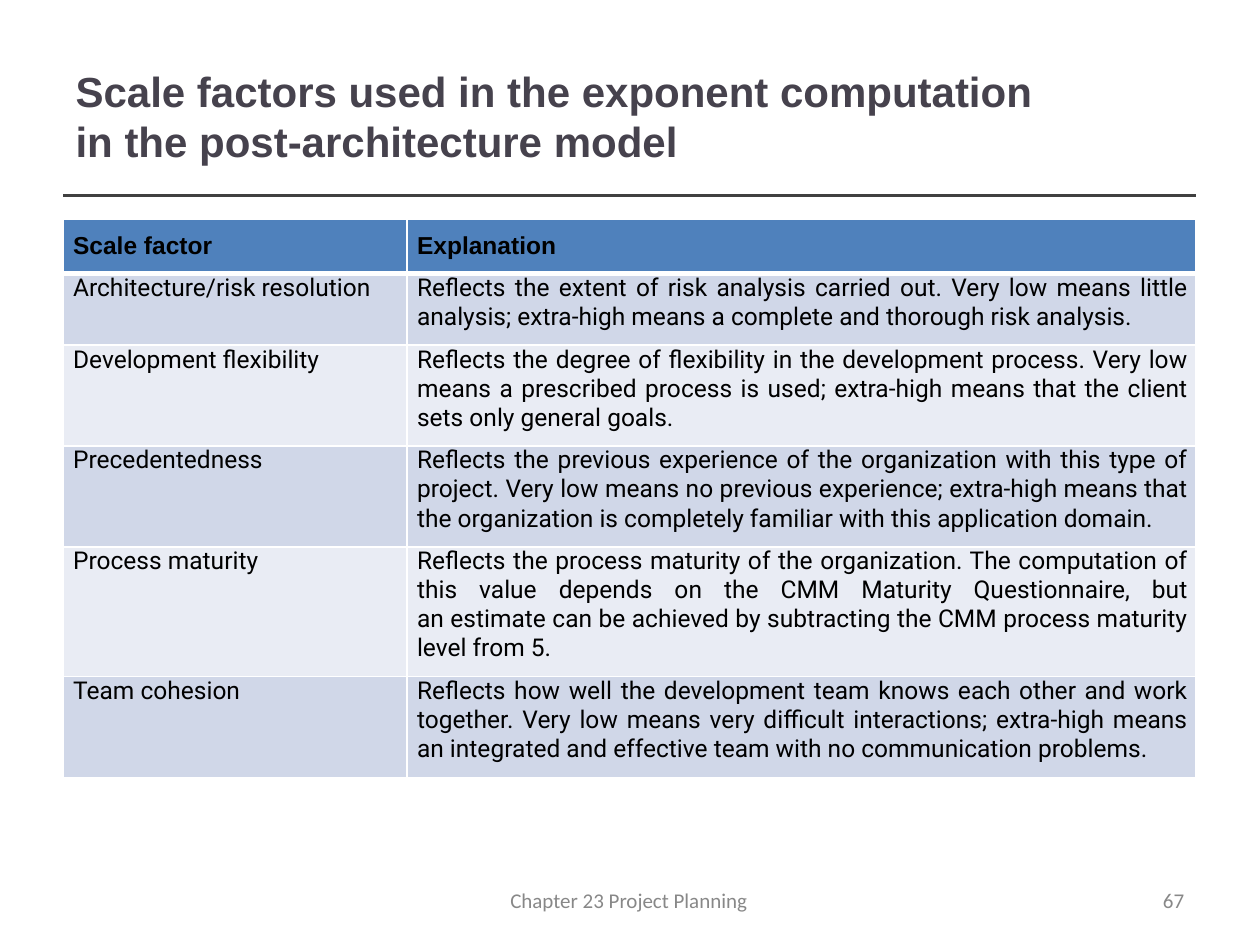
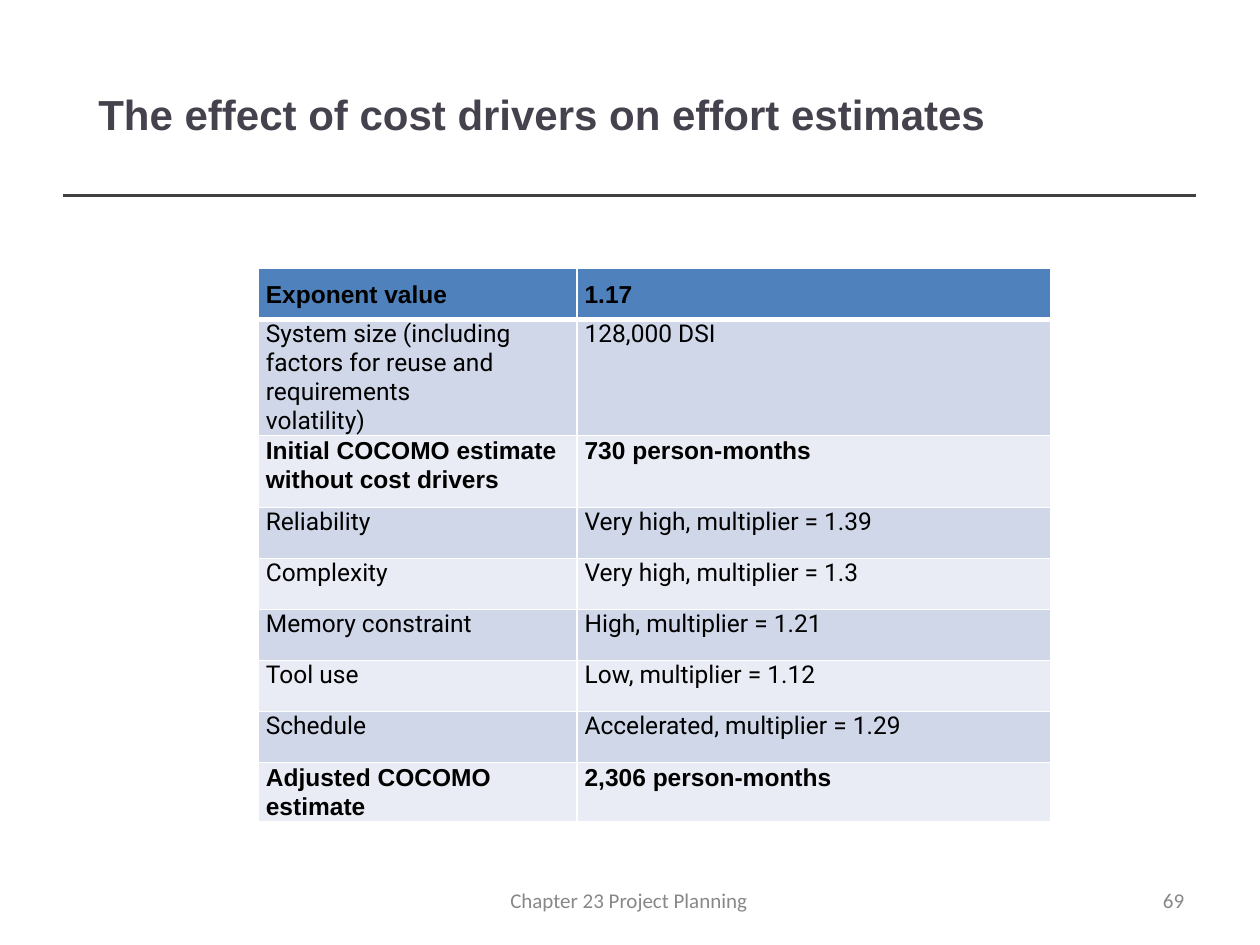
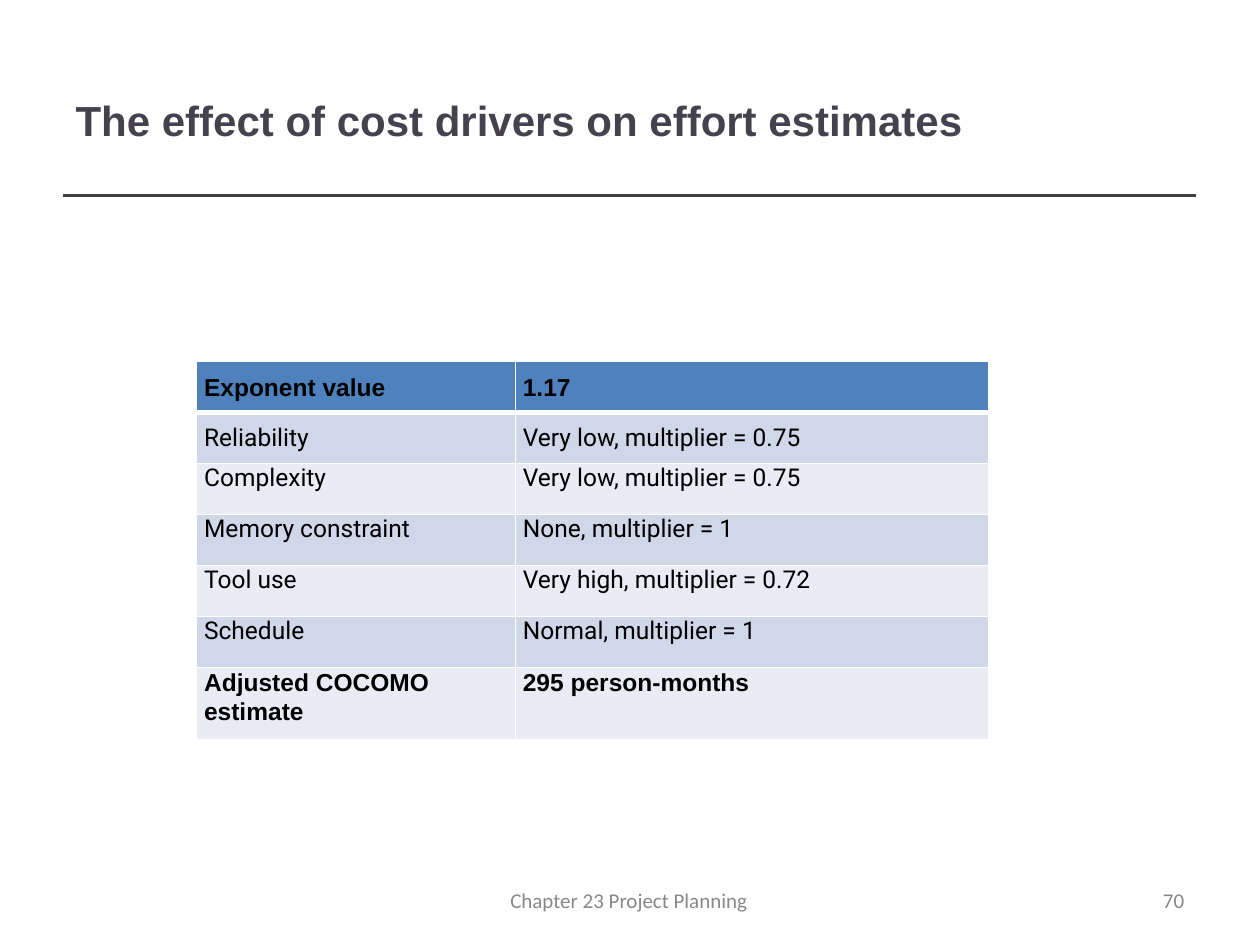
from lxml import etree
from pptx import Presentation
from pptx.dml.color import RGBColor
from pptx.enum.shapes import MSO_CONNECTOR as Connector
from pptx.enum.text import PP_ALIGN as Align
from pptx.oxml.ns import qn
from pptx.util import Emu, Inches, Pt

WIDTH, HEIGHT = Inches(10), Inches(7.5)
TITLE_COLOR = RGBColor(0x46, 0x42, 0x4D)
RULE_COLOR = RGBColor(0x40, 0x40, 0x40)
FOOTER_COLOR = RGBColor(0x88, 0x88, 0x88)
HEADER_FILL = RGBColor(0x4F, 0x81, 0xBC)
BAND_FILLS = RGBColor(0xD0, 0xD7, 0xE8), RGBColor(0xE9, 0xEC, 0xF4)
BLACK = RGBColor(0, 0, 0)
WHITE = RGBColor(0xFF, 0xFF, 0xFF)

TITLE_FONT = {"name": "Arial", "size": Pt(24), "bold": True}
FOOTER_FONT = {"name": "Calibri", "size": Pt(12)}
STRONG_FONT = {"name": "Arial", "size": Pt(14), "bold": True}
BODY_FONT = {"name": "Roboto", "size": Pt(14), "bold": False}
BODY_LEADING = Pt(16.6)
FOOTER_LEADING = Pt(12.4)
HEADER_PADDING = Inches(0.09)

ROW = 5.4
TALL_ROW = 7.6
DRIVER_COLUMNS = 25.3, 37.6

SCALE_FACTORS = [
    ("Scale factor", "Explanation"),
    ("Architecture/risk resolution",
     "Reflects the extent of risk analysis carried out. Very low means little "
     "analysis; extra-high means a complete and thorough risk analysis."),
    ("Development flexibility",
     "Reflects the degree of flexibility in the development process. Very low means "
     "a prescribed process is used; extra-high means that the client sets only "
     "general goals."),
    ("Precedentedness",
     "Reflects the previous experience of the organization with this type of project. "
     "Very low means no previous experience; extra-high means that the organization "
     "is completely familiar with this application domain."),
    ("Process maturity",
     "Reflects the process maturity of the organization. The computation of this value "
     "depends on the CMM Maturity Questionnaire, but\van estimate can be achieved by "
     "subtracting the CMM process maturity level from 5."),
    ("Team cohesion",
     "Reflects how well the development team knows each other and work together. Very "
     "low means very difficult interactions; extra-high means an integrated and "
     "effective team with no communication problems."),
]
HIGH_DRIVERS = [
    ("Exponent value", "1.17"),
    ("System size (including\vfactors for reuse and requirements\vvolatility)", "128,000 DSI"),
    ("Initial COCOMO estimate without cost drivers", "730 person-months"),
    ("Reliability", "Very high, multiplier = 1.39"),
    ("Complexity", "Very high, multiplier = 1.3"),
    ("Memory constraint", "High, multiplier = 1.21"),
    ("Tool use", "Low, multiplier = 1.12"),
    ("Schedule", "Accelerated, multiplier = 1.29"),
    ("Adjusted COCOMO estimate", "2,306 person-months"),
]
LOW_DRIVERS = [
    ("Exponent value", "1.17"),
    ("Reliability", "Very low, multiplier = 0.75"),
    ("Complexity", "Very low, multiplier = 0.75"),
    ("Memory constraint", "None, multiplier = 1"),
    ("Tool use", "Very high, multiplier = 0.72"),
    ("Schedule", "Normal, multiplier = 1"),
    ("Adjusted COCOMO estimate", "295 person-months"),
]


def across(percent):
    """Return a percentage of the slide width."""
    return Emu(round(WIDTH * percent / 100))


def down(percent):
    """Return a percentage of the slide height."""
    return Emu(round(HEIGHT * percent / 100))


def set_values(target, values):
    """Set attributes of an object from a dict."""
    for name, value in values.items():
        setattr(target, name, value)


def write(paragraph, text, font, color, **layout):
    """Fill a paragraph with formatted text."""
    paragraph.text = text
    set_values(paragraph, layout)
    set_values(paragraph.font, font)
    paragraph.font.color.rgb = color


def add_label(slide, text, box, font, color, indent=0, drop=0, **layout):
    """Add a text box placed by shares of the slide."""
    left, top, width, height = box
    shape = slide.shapes.add_textbox(across(left), down(top), across(width), down(height))
    set_values(shape.text_frame, {
        "word_wrap": True, "margin_left": across(indent), "margin_top": down(drop),
        "margin_right": 0, "margin_bottom": 0})
    write(shape.text_frame.paragraphs[0], text, font, color, **layout)


def add_rule(slide):
    """Draw the line below the title."""
    rule = slide.shapes.add_connector(
        Connector.STRAIGHT, across(5), down(20.7), across(94.9), down(20.7))
    rule.line.color.rgb = RULE_COLOR
    rule.line.width = Pt(2)
    etree.SubElement(rule._element.spPr, qn("a:effectLst"))


def add_page(presentation, title, number, indent, drop):
    """Add a slide with its title, rule and footer."""
    slide = presentation.slides.add_slide(presentation.slide_layouts[6])
    add_rule(slide)
    add_label(slide, title, (5.9, 6.13, 76.2, 11.73), TITLE_FONT, TITLE_COLOR, indent, drop)
    footers = [("Chapter 23 Project Planning", 40.4, 19.1, 0.1), (str(number), 91.9, 2.7, 0.4)]
    for text, left, width, inset in footers:
        add_label(slide, text, (left, 94.27, width, 2.67), FOOTER_FONT, FOOTER_COLOR,
                  inset, line_spacing=FOOTER_LEADING)
    return slide


def add_borders(cell, top, bottom):
    """Give a cell white borders."""
    properties = cell._tc.get_or_add_tcPr()
    for side, points in {"L": 1, "R": 1, "T": top, "B": bottom}.items():
        border = etree.SubElement(properties, qn(f"a:ln{side}"), w=str(Pt(points)))
        fill = etree.SubElement(border, qn("a:solidFill"))
        etree.SubElement(fill, qn("a:srgbClr"), val=str(WHITE))


def format_cell(cell, text, row, strong, padded, inset, alignment):
    """Write one table cell and style it by its row."""
    set_values(cell, {
        "margin_left": inset, "margin_right": Inches(0.06),
        "margin_top": HEADER_PADDING if padded else 0, "margin_bottom": 0})
    add_borders(cell, 3 if row == 1 else 1, 3 if row == 0 else 1)
    cell.fill.solid()
    cell.fill.fore_color.rgb = BAND_FILLS[(row - 1) % 2] if row else HEADER_FILL
    write(cell.text_frame.paragraphs[0], text, STRONG_FONT if strong else BODY_FONT, BLACK,
          alignment=alignment, line_spacing=BODY_LEADING)


def add_factor_table(slide, rows, corner, columns, heights, strong_rows=(0,),
                     padded_rows=(0,), inset=Inches(0.06), value_alignment=Align.LEFT):
    """Add a two-column banded table."""
    left, top = corner
    table = slide.shapes.add_table(
        len(rows), len(columns), across(left), down(top),
        across(sum(columns)), down(sum(heights))).table
    set_values(table, {"first_row": False, "horz_banding": False})
    for column, width in zip(table.columns, columns):
        column.width = across(width)
    for index, (texts, height) in enumerate(zip(rows, heights)):
        table.rows[index].height = down(height)
        for position, text in enumerate(texts):
            alignment = value_alignment if position and index else Align.LEFT
            format_cell(table.cell(index, position), text, index, index in strong_rows,
                        index in padded_rows, inset, alignment)


def main():
    """Build the three slides."""
    presentation = Presentation()
    set_values(presentation, {"slide_width": WIDTH, "slide_height": HEIGHT})

    scale_title = "Scale factors used in the exponent computation in the post-architecture model"
    slide = add_page(presentation, scale_title, 67, 0.1, 0.8)
    add_factor_table(slide, SCALE_FACTORS, (5, 23.2), (27.3, 62.6),
                     [5.73, TALL_ROW, 10.67, 10.67, 13.73, 10.67],
                     inset=Inches(0.08), value_alignment=Align.JUSTIFY)

    drivers_title = "The effect of cost drivers on effort estimates"
    slide = add_page(presentation, drivers_title, 69, 1.9, 3.2)
    add_factor_table(slide, HIGH_DRIVERS, (20.5, 28.4), DRIVER_COLUMNS,
                     [ROW, 12.3, TALL_ROW] + [ROW] * 5 + [6.27], strong_rows=(0, 2, 8))

    slide = add_page(presentation, drivers_title, 70, 0.1, 3.87)
    add_factor_table(slide, LOW_DRIVERS, (15.6, 38.27), DRIVER_COLUMNS,
                     [ROW] * 6 + [TALL_ROW], strong_rows=(0, 6), padded_rows=(0, 1))

    presentation.save("out.pptx")


if __name__ == "__main__":
    main()
